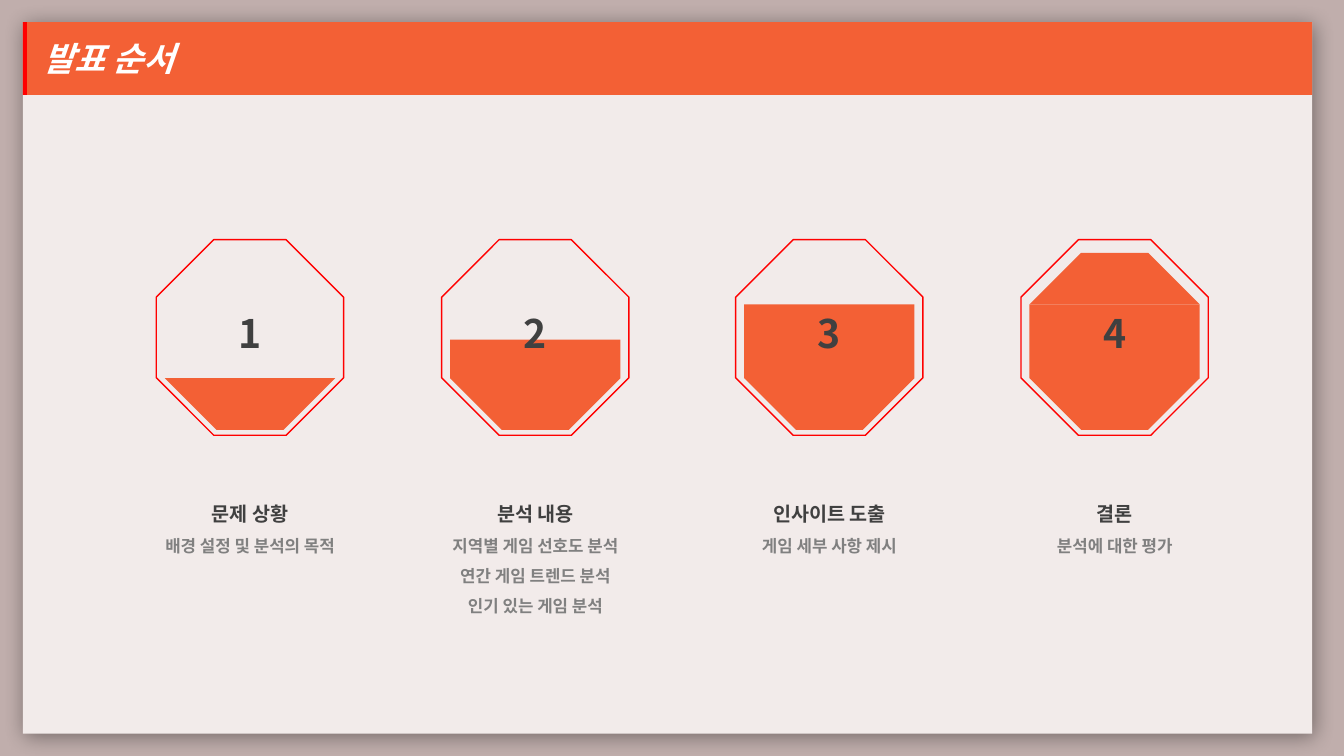
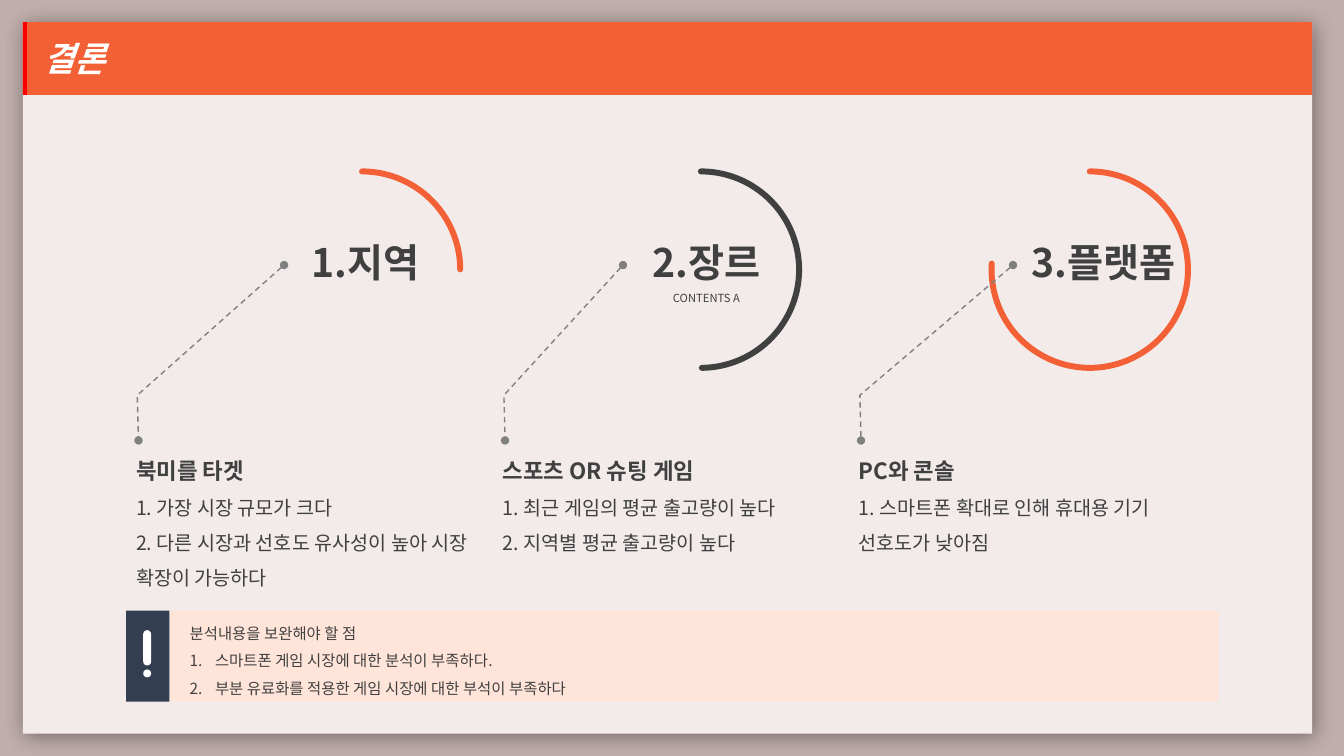
from lxml import etree
from pptx import Presentation
from pptx import util as u
from pptx.dml.color import RGBColor
from pptx.enum import dml, shapes, text
from pptx.oxml.ns import qn

FONT = "Noto Sans CJK KR"
COLORS = {
    "backdrop": "C0AEAC", "panel": "F2EBEA", "orange": "F36035", "red": "FF0000",
    "white": "FFFFFF", "dark": "404040", "gray": "808080", "peach": "FFE4D9",
    "navy": "333F50", "black": "000000",
}
COLOR = {name: RGBColor.from_string(value) for name, value in COLORS.items()}
KIND = shapes.MSO_SHAPE
CENTER = text.PP_ALIGN.CENTER
LEFT = text.PP_ALIGN.LEFT


def draw(page, kind, left, top, width, height, fill=None, line=None, weight=1, adjust=()):
    """Add a preset shape without shadow; lengths are in cm."""
    shape = page.shapes.add_shape(kind, u.Cm(left), u.Cm(top), u.Cm(width), u.Cm(height))
    shape.shadow.inherit = False
    for index, value in enumerate(adjust):
        shape.adjustments[index] = value
    if fill:
        shape.fill.solid()
        shape.fill.fore_color.rgb = COLOR[fill]
    else:
        shape.fill.background()
    if line:
        shape.line.color.rgb = COLOR[line]
        shape.line.width = u.Pt(weight)
    else:
        shape.line.fill.background()
    return shape


def write(shape, lines, align=LEFT):
    """Fill a shape with lines of (text, size, colour, bold, line spacing)."""
    frame = shape.text_frame
    frame.word_wrap = True
    for index, (words, size, color, bold, spacing) in enumerate(lines):
        para = frame.paragraphs[0] if index == 0 else frame.add_paragraph()
        para.alignment = align
        para.line_spacing = spacing
        span = para.add_run()
        span.text = words
        span.font.name = FONT
        span.font.size = u.Pt(size)
        span.font.bold = bold
        span.font.color.rgb = COLOR[color]
        etree.SubElement(span._r.get_or_add_rPr(), qn("a:ea"), typeface=FONT)
    return frame


deck = Presentation()
deck.slide_width, deck.slide_height = u.Cm(33.87), u.Cm(19.05)

# Shared frame: backdrop, panel with shadow, title band
PANEL_LEFT, PANEL_TOP, PANEL_WIDTH, BAND_HEIGHT = 0.58, 0.56, 32.49, 1.83
pages = []
for title in ("발표 순서", "결론"):
    page = deck.slides.add_slide(deck.slide_layouts[6])
    page.background.fill.solid()
    page.background.fill.fore_color.rgb = COLOR["backdrop"]

    panel = draw(page, KIND.RECTANGLE, PANEL_LEFT, PANEL_TOP, PANEL_WIDTH, 17.93, "panel")
    effects = panel._element.spPr.find(qn("a:effectLst"))
    shadow = etree.SubElement(effects, qn("a:outerShdw"), blurRad=str(u.Pt(15)),
                              dist=str(u.Pt(3)), dir="2700000", algn="tl", rotWithShape="0")
    tint = etree.SubElement(shadow, qn("a:srgbClr"), val=COLORS["black"])
    etree.SubElement(tint, qn("a:alpha"), val="40000")

    band = draw(page, KIND.RECTANGLE, PANEL_LEFT, PANEL_TOP, PANEL_WIDTH, BAND_HEIGHT, "orange")
    frame = write(band, [(title, 24, "white", True, 1.0)])
    frame.margin_left = u.Cm(0.51)
    frame.vertical_anchor = text.MSO_ANCHOR.MIDDLE
    frame.paragraphs[0].runs[0].font.italic = True
    draw(page, KIND.RECTANGLE, PANEL_LEFT, PANEL_TOP, 0.1, BAND_HEIGHT, "red")
    pages.append(page)
agenda, conclusion = pages

# Agenda: octagons that fill up step by step
FILL_WIDTH, SLOPE_HEIGHT, SLOPE_TOP = 4.29, 1.3, 9.53
steps = [  # centre, height of the straight fill, has a top slope, heading, details
    (6.3, 0, False, "문제 상황", ["배경 설정 및 분석의 목적"]),
    (13.49, 0.97, False, "분석 내용",
     ["지역별 게임 선호도 분석", "연간 게임 트렌드 분석", "인기 있는 게임 분석"]),
    (20.9, 1.86, False, "인사이트 도출", ["게임 세부 사항 제시"]),
    (28.09, 1.86, True, "결론", ["분석에 대한 평가"]),
]
for number, (center, level, full, heading, details) in enumerate(steps, 1):
    draw(agenda, KIND.OCTAGON, center - 2.36, 6.04, 4.72, 4.93, line="red", adjust=[0.307])
    fill_left = center - FILL_WIDTH / 2
    if level:
        draw(agenda, KIND.RECTANGLE, fill_left, SLOPE_TOP - level, FILL_WIDTH, level, "orange")
    slope_tops = [(SLOPE_TOP, 180)]
    if full:
        slope_tops.append((SLOPE_TOP - level - SLOPE_HEIGHT, 0))
    for top, turn in slope_tops:
        slope = draw(agenda, KIND.TRAPEZOID, fill_left, top, FILL_WIDTH, SLOPE_HEIGHT,
                     "orange", adjust=[1.0])
        slope.rotation = turn

    label = agenda.shapes.add_textbox(u.Cm(center - 2.03), u.Cm(7.67), u.Cm(4.06), u.Cm(1.45))
    write(label, [(str(number), 28, "dark", True, 1.0)], CENTER)
    caption = agenda.shapes.add_textbox(u.Cm(center - 3.08), u.Cm(12.22), u.Cm(6.17),
                                        u.Cm(1.06 + 0.76 * len(details)))
    write(caption, [(heading, 14, "dark", True, 1.5)]
          + [(detail, 12, "gray", True, 1.5) for detail in details], CENTER)

# Conclusion: arc, heading, dashed leader and findings per topic
topics = [  # arc left, end angle, colour, heading lines, left, width, leader start, text left, findings
    (6.65, 215.9, "orange", ["1.지역"], 7.52, 3.38, 7.16, 3.18,
     ["북미를 타겟", "1. 가장 시장 규모가 크다",
      "2. 다른 시장과 선호도 유사성이 높아 시장 확장이 가능하다"]),
    (15.19, 53.66, "dark", ["2.장르", "CONTENTS A"], 16.05, 3.51, 15.7, 12.42,
     ["스포츠 OR 슈팅 게임", "1. 최근 게임의 평균 출고량이 높다",
      "2. 지역별 평균 출고량이 높다"]),
    (24.99, 110.14, "orange", ["3.플랫폼"], 25.53, 4.57, 25.53, 21.39,
     ["PC와 콘솔", "1. 스마트폰 확대로 인해 휴대용 기기 선호도가 낮아짐"]),
]
for arc_left, end, color, heading, head_left, head_width, start, left, findings in topics:
    arc = draw(conclusion, KIND.ARC, arc_left, 4.32, 4.95, 4.95, line=color, weight=4.25,
               adjust=[162, end])
    arc.line._get_or_add_ln().set("cap", "rnd")

    box = conclusion.shapes.add_textbox(u.Cm(head_left), u.Cm(5.87), u.Cm(head_width), u.Cm(1.45))
    write(box, [(heading[0], 28, "dark", True, 1.0)]
          + [(words, 8, "dark", False, 1.5) for words in heading[1:]], CENTER)

    bend = left + 0.28
    path = conclusion.shapes.build_freeform(u.Cm(start), u.Cm(6.68))
    path.add_line_segments([(u.Cm(bend), u.Cm(9.96)), (u.Cm(bend + 0.03), u.Cm(11.1))], close=False)
    leader = path.convert_to_shape()
    leader.shadow.inherit = False
    leader.fill.background()
    leader.line.color.rgb = COLOR["gray"]
    leader.line.width = u.Pt(1)
    leader.line.dash_style = dml.MSO_LINE.DASH
    for tip in ("a:headEnd", "a:tailEnd"):
        etree.SubElement(leader.line._get_or_add_ln(), qn(tip), type="oval")

    box = conclusion.shapes.add_textbox(u.Cm(left), u.Cm(11.05), u.Cm(9.12), u.Cm(2.97))
    write(box, [(findings[0], 16, "dark", True, 1.5)]
          + [(finding, 14, "dark", False, 1.5) for finding in findings[1:]])

# Note with numbered list
NOTE_TOP, NOTE_HEIGHT = 15.39, 2.29
note = draw(conclusion, KIND.RECTANGLE, 4.27, NOTE_TOP, 26.44, NOTE_HEIGHT, "peach")
remarks = ["분석내용을 보완해야 할 점", "스마트폰 게임 시장에 대한 분석이 부족하다.",
           "부분 유료화를 적용한 게임 시장에 대한 부석이 부족하다"]
frame = write(note, [(remark, 11, "dark", False, 1.5) for remark in remarks])
frame.vertical_anchor = text.MSO_ANCHOR.MIDDLE
frame.margin_left = frame.margin_right = u.Cm(0.51)
frame.margin_top = frame.margin_bottom = u.Cm(0.3)
for para in frame.paragraphs[1:]:
    props = para._p.get_or_add_pPr()
    props.set("marL", str(u.Cm(0.64)))
    props.set("indent", str(-u.Cm(0.64)))
    etree.SubElement(props, qn("a:buFont"), typeface="+mj-lt")
    etree.SubElement(props, qn("a:buAutoNum"), type="arabicPeriod")

# Exclamation mark
draw(conclusion, KIND.RECTANGLE, 3.18, NOTE_TOP, 1.09, NOTE_HEIGHT, "navy")
for top, height in ((15.88, 0.89), (16.87, 0.2)):
    draw(conclusion, KIND.ROUNDED_RECTANGLE, 3.61, top, 0.2, height, "white", adjust=[0.5])

deck.save("out.pptx")
